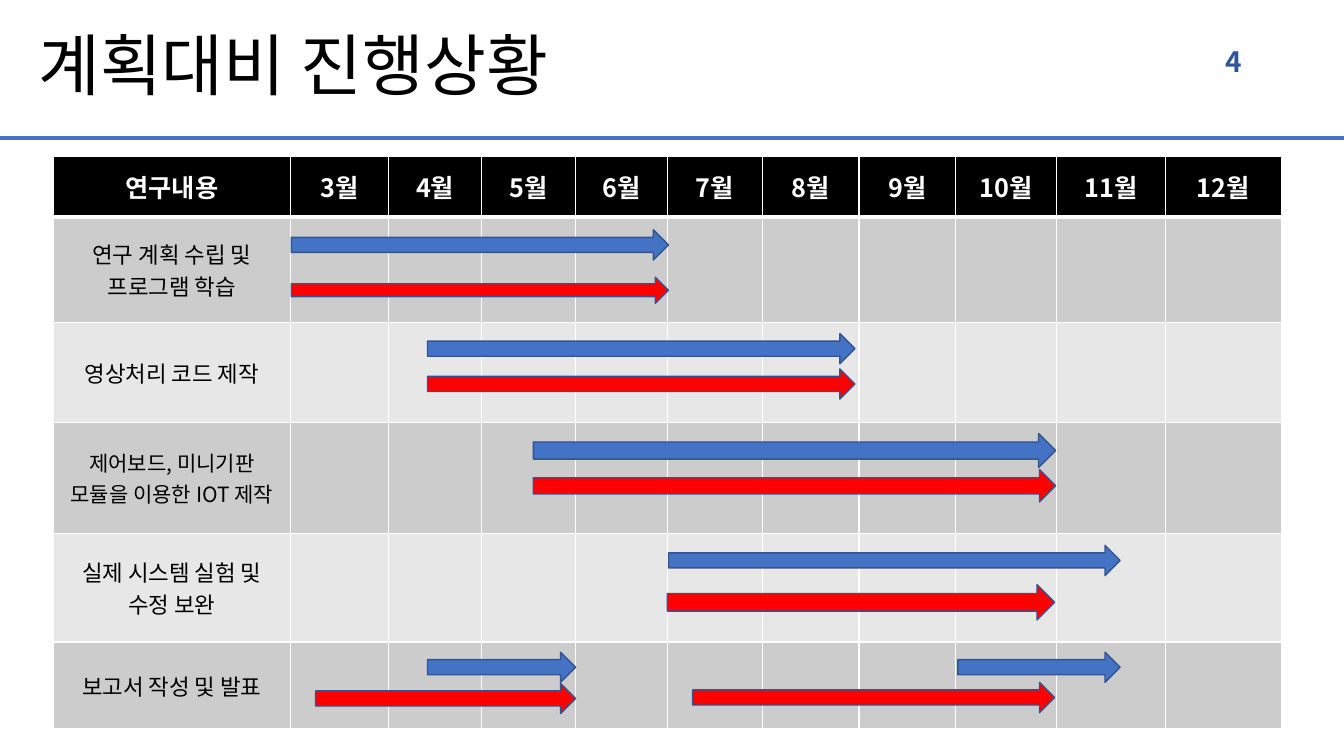
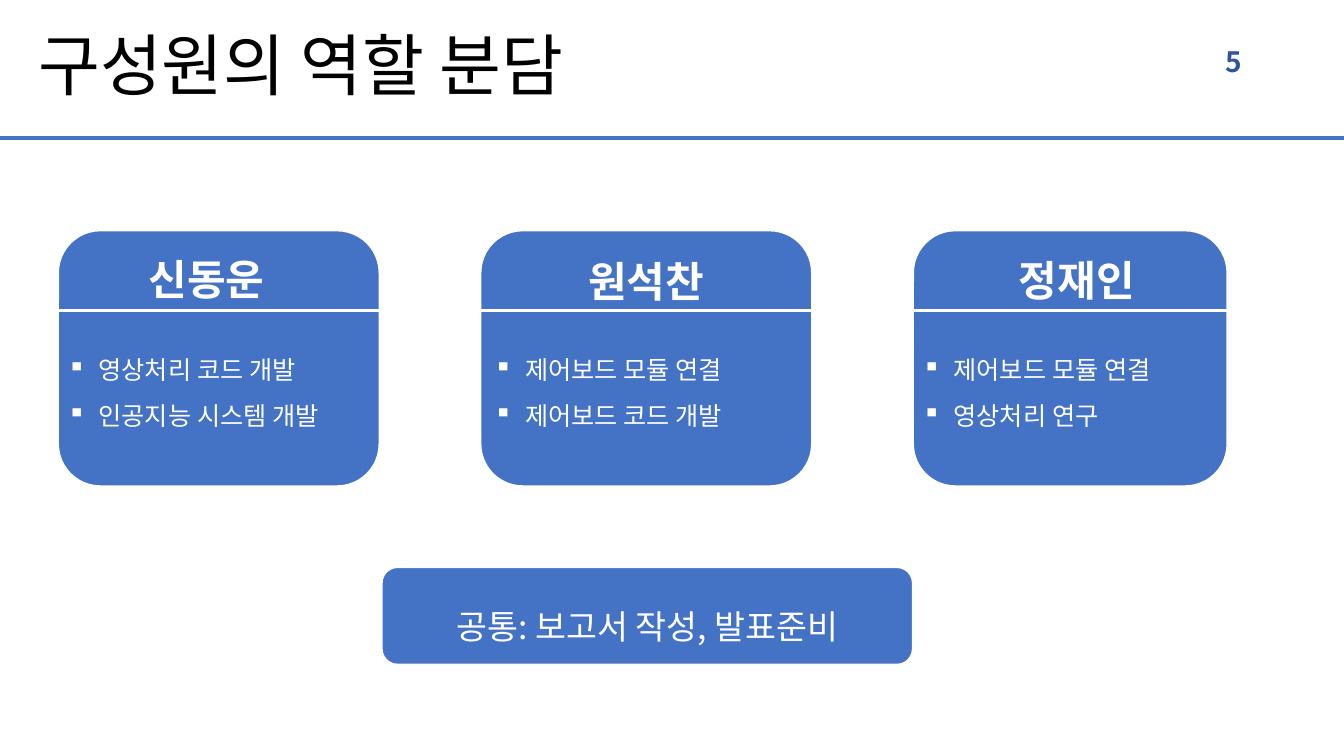
from dataclasses import dataclass
from lxml.etree import SubElement
from pptx import Presentation
from pptx.dml.color import RGBColor as Rgb
from pptx.enum.shapes import MSO_CONNECTOR as Connector, MSO_SHAPE as Preset
from pptx.enum.text import MSO_ANCHOR as Anchor, MSO_AUTO_SIZE as AutoSize, PP_ALIGN as Align
from pptx.oxml.ns import qn
from pptx.util import Inches, Pt


@dataclass(frozen=True)
class Theme:
    font: str = "Noto Sans CJK KR"
    blue: Rgb = Rgb.from_string("4472C4")
    edge: Rgb = Rgb.from_string("325491")
    navy: Rgb = Rgb.from_string("2F5597")
    red: Rgb = Rgb.from_string("FF0000")
    black: Rgb = Rgb.from_string("000000")
    white: Rgb = Rgb.from_string("FFFFFF")
    dark_row: Rgb = Rgb.from_string("CCCCCC")
    light_row: Rgb = Rgb.from_string("E7E7E7")
    title: int = 48
    name: int = 30
    common: int = 24
    number: int = 20
    body: int = 18
    label: int = 16
    small_label: int = 15


theme = Theme()


def write(frame, text, size, color, align=Align.LEFT, bold=False, spacing=1.0, bullet=None):
    frame.text = text
    for para in frame.paragraphs:
        para.alignment = align
        para.line_spacing = spacing
        if bullet:
            properties = para._p.get_or_add_pPr()
            properties.set("marL", str(Inches(0.31)))
            properties.set("indent", str(-Inches(0.31)))
            SubElement(properties, qn("a:buChar"), char=bullet)
        for span in para.runs:
            span.font.name = theme.font
            span.font.size = Pt(size)
            span.font.bold = bold
            span.font.color.rgb = color
            SubElement(span._r.get_or_add_rPr(), qn("a:ea"), typeface=theme.font)


def draw_rule(page, left, top, width, color, weight):
    rule = page.shapes.add_connector(
        Connector.STRAIGHT, Inches(left), Inches(top), Inches(left + width), Inches(top))
    rule.line.color.rgb = color
    rule.line.width = Pt(weight)
    SubElement(rule._element.spPr, qn("a:effectLst"))


deck = Presentation()
deck.slide_width = Inches(13.33)
deck.slide_height = Inches(7.5)

pages = []
for number, heading in enumerate(["계획대비 진행상황", "구성원의 역할 분담"], start=4):
    page = deck.slides.add_slide(deck.slide_layouts[5])
    pages.append(page)
    title = page.shapes.title
    title.left, title.top, title.width, title.height = map(Inches, (0.28, 0, 11.5, 1.37))
    title.text_frame.vertical_anchor = Anchor.MIDDLE
    title.text_frame.auto_size = AutoSize.NONE
    write(title.text_frame, heading, theme.title, theme.black, spacing=0.9)
    box = page.shapes.add_textbox(Inches(9.42), Inches(0.41), Inches(3), Inches(0.4))
    box.text_frame.word_wrap = True
    box.text_frame.vertical_anchor = Anchor.MIDDLE
    write(box.text_frame, str(number), theme.number, theme.navy, Align.RIGHT, bold=True)
    draw_rule(page, 0, 1.37, 13.33, theme.blue, 3)

plan_page, role_page = pages

column_widths = [2.35, 0.97, 0.93, 0.93, 0.91, 0.94, 0.96, 0.96, 1, 1.08, 1.15]
row_heights = [0.6, 1.05, 0.99, 1.1, 1.08, 0.86]
headers = ["연구내용"] + [f"{month}월" for month in range(3, 13)]
tasks = [
    ("연구 계획 수립 및\n프로그램 학습", theme.label),
    ("영상처리 코드 제작", theme.label),
    ("제어보드, 미니기판 모듈을 이용한 IOT 제작", theme.small_label),
    ("실제 시스템 실험 및 수정 보완", theme.label),
    ("보고서 작성 및 발표", theme.label),
]

table = plan_page.shapes.add_table(
    len(row_heights), len(column_widths), Inches(0.53), Inches(1.55),
    Inches(sum(column_widths)), Inches(sum(row_heights))).table
for column, width in zip(table.columns, column_widths):
    column.width = Inches(width)
for index, (row, height) in enumerate(zip(table.rows, row_heights)):
    row.height = Inches(height)
    row_fill = theme.dark_row if index % 2 else theme.light_row
    for cell in row.cells:
        cell.fill.solid()
        cell.fill.fore_color.rgb = row_fill if index else theme.black
        cell.vertical_anchor = Anchor.MIDDLE
for cell, header in zip(table.rows[0].cells, headers):
    write(cell.text_frame, header, theme.body, theme.white, Align.CENTER, bold=True)
    properties = cell._tc.get_or_add_tcPr()
    border = SubElement(properties, qn("a:lnB"), w=str(Pt(3)))
    SubElement(SubElement(border, qn("a:solidFill")), qn("a:srgbClr"), val=str(theme.white))
    properties.insert(0, border)
for index, (task, size) in enumerate(tasks, start=1):
    cell = table.cell(index, 0)
    cell.margin_left = cell.margin_right = Inches(0.15)
    write(cell.text_frame, task, size, theme.black, Align.CENTER)

planned_arrows = [
    (2.89, 2.28, 3.74, 0.3),
    (4.24, 3.31, 4.24, 0.3),
    (5.29, 4.3, 5.18, 0.34),
    (6.63, 5.41, 4.48, 0.3),
    (4.24, 6.47, 1.47, 0.3),
    (9.5, 6.47, 1.61, 0.3),
]
actual_arrows = [
    (2.89, 2.75, 3.74, 0.26),
    (4.24, 3.66, 4.24, 0.3),
    (5.29, 4.66, 5.18, 0.32),
    (6.62, 5.8, 3.84, 0.35),
    (3.13, 6.78, 2.58, 0.3),
    (6.87, 6.77, 3.59, 0.3),
]
for color, arrows in [(theme.blue, planned_arrows), (theme.red, actual_arrows)]:
    for place in arrows:
        arrow = plan_page.shapes.add_shape(Preset.RIGHT_ARROW, *map(Inches, place))
        arrow.shadow.inherit = False
        arrow.fill.solid()
        arrow.fill.fore_color.rgb = color
        arrow.line.color.rgb = theme.edge
        arrow.line.width = Pt(1)

card_places = [(0.57, 2.28, 3.2, 2.55), (4.76, 2.28, 3.3, 2.55), (9.05, 2.28, 3.13, 2.55)]
common_place = (3.78, 5.62, 5.28, 0.98)
for place in card_places + [common_place]:
    card = role_page.shapes.add_shape(Preset.ROUNDED_RECTANGLE, *map(Inches, place))
    card.shadow.inherit = False
    card.fill.solid()
    card.fill.fore_color.rgb = theme.blue
    card.line.color.rgb = theme.white
    card.line.width = Pt(2.25)
    if place == common_place:
        card.text_frame.vertical_anchor = Anchor.MIDDLE
        write(card.text_frame, "공통: 보고서 작성, 발표준비", theme.common, theme.white,
              Align.CENTER, spacing=1.5)

members = [
    ("신동운", 1.32, 2.47, 0.57, "영상처리 코드 개발\n인공지능 시스템 개발"),
    ("원석찬", 5.68, 2.49, 4.8, "제어보드 모듈 연결\n제어보드 코드 개발"),
    ("정재인", 9.95, 2.48, 9.05, "제어보드 모듈 연결\n영상처리 연구"),
]
for (card_left, _, card_width, _), member in zip(card_places, members):
    name, name_left, name_top, duties_left, duties = member
    draw_rule(role_page, card_left, 3.08, card_width, theme.white, 2.25)
    box = role_page.shapes.add_textbox(
        Inches(name_left), Inches(name_top), Inches(1.46), Inches(0.61))
    box.text_frame.word_wrap = False
    write(box.text_frame, name, theme.name, theme.white, Align.CENTER, bold=True)
    box = role_page.shapes.add_textbox(
        Inches(duties_left), Inches(3.32), Inches(3.16), Inches(0.95))
    box.text_frame.word_wrap = True
    write(box.text_frame, duties, theme.body, theme.white, spacing=1.5, bullet="▪")

deck.save("out.pptx")
